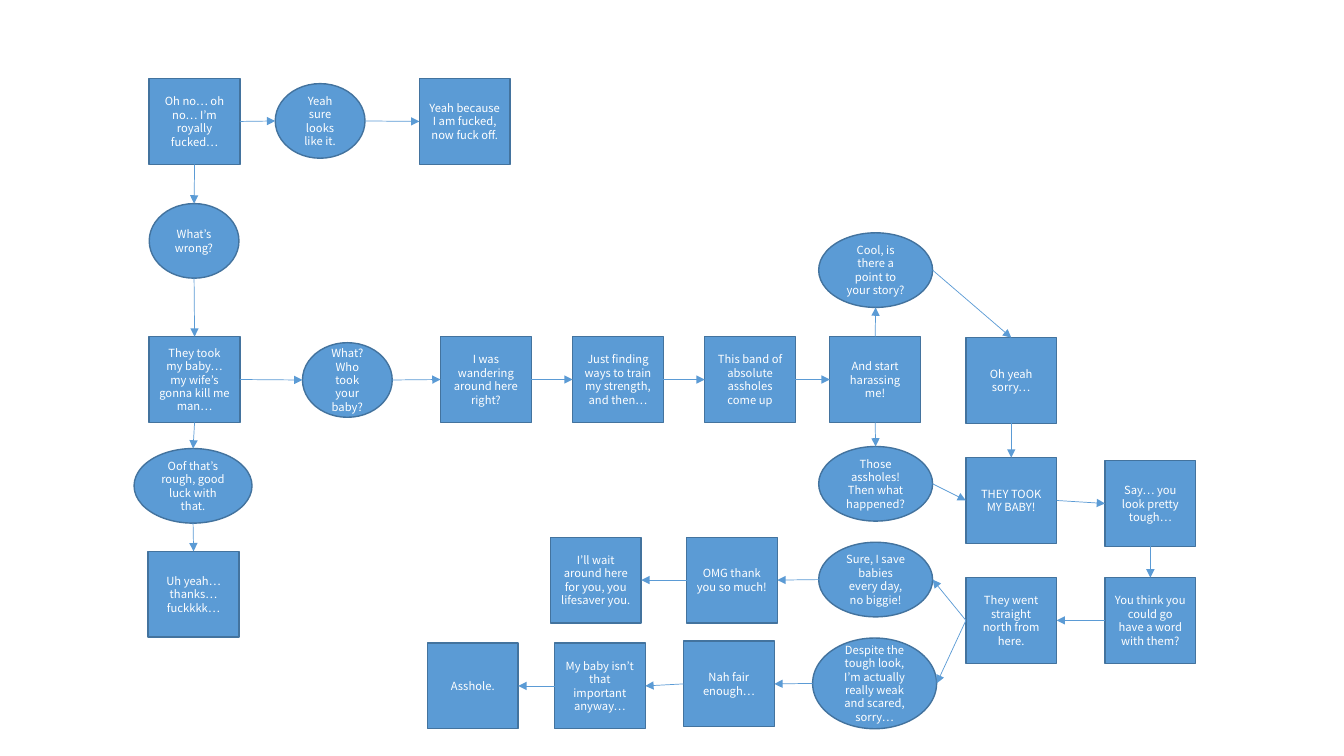
import lxml.etree
import pptx
import pptx.dml.color
import pptx.enum.shapes
import pptx.enum.text
import pptx.oxml.ns
import pptx.util
from dataclasses import dataclass
from pptx.util import Inches

RECTANGLE = pptx.enum.shapes.MSO_SHAPE.RECTANGLE
OVAL = pptx.enum.shapes.MSO_SHAPE.OVAL
SIDES = {"top": (0.5, 0), "left": (0, 0.5), "bottom": (0.5, 1), "right": (1, 0.5)}
SITES = {
    RECTANGLE: {"top": 0, "left": 1, "bottom": 2, "right": 3},
    OVAL: {"top": 0, "left": 2, "bottom": 4, "right": 6},
}


@dataclass(frozen=True)
class Theme:
    fill: str = "5B9BD5"
    outline: str = "43739E"
    text: str = "FFFFFF"
    font: str = "Noto Sans CJK JP"
    text_size: float = 8
    outline_width: float = 1
    arrow_width: float = 0.5


THEME = Theme()
SPEECH_SIZE = (0.9, 0.85)
SMALL_REPLY = (0.89, 0.74)
WIDE_REPLY = (1.13, 0.74)

SPEECHES = {
    "oh_no": (1.48, 0.78, "Oh no… oh no… I’m royally fucked…"),
    "fuck_off": (4.16, 0.78, "Yeah because I am fucked, now fuck off."),
    "took_baby": (1.48, 3.34, "They took my baby… my wife’s gonna kill me man…"),
    "thanks": (1.47, 5.47, "Uh yeah… thanks… fuckkkk…"),
    "wandering": (4.37, 3.34, "I was wandering around here right?"),
    "training": (5.68, 3.34, "Just finding ways to train my strength, and then…"),
    "band": (6.99, 3.34, "This band of absolute assholes come up"),
    "harassing": (8.23, 3.34, "And start harassing me!"),
    "sorry": (9.58, 3.35, "Oh yeah sorry…"),
    "my_baby": (9.58, 4.54, "THEY TOOK MY BABY!"),
    "tough": (10.96, 4.57, "Say… you look pretty tough…"),
    "have_word": (10.96, 5.73, "You think you could go have a word with them?"),
    "north": (9.58, 5.73, "They went straight north from here."),
    "thank_you": (6.81, 5.33, "OMG thank you so much!"),
    "wait_here": (5.46, 5.33, "I’ll wait around here for you, you lifesaver you."),
    "fair_enough": (6.78, 6.36, "Nah fair enough…"),
    "not_important": (5.5, 6.38, "My baby isn’t that important anyway…"),
    "insult": (4.24, 6.38, "Asshole."),
}

REPLIES = {
    "whats_wrong": (1.48, 2.02, SMALL_REPLY, "What’s wrong?"),
    "looks_like_it": (2.73, 0.83, SMALL_REPLY, "Yeah sure looks like it."),
    "who_took": (3, 3.4, SMALL_REPLY, "What? Who took your baby?"),
    "good_luck": (1.33, 4.45, (1.17, 0.74), "Oof that’s rough, good luck with that."),
    "point": (8.12, 2.31, WIDE_REPLY, "Cool, is there a point to your story?"),
    "then_what": (8.12, 4.43, WIDE_REPLY, "Those assholes! Then what happened?"),
    "accept": (8.12, 5.38, WIDE_REPLY, "Sure, I save babies every day, no biggie!"),
    "refuse": (8.06, 6.33, (1.23, 0.9),
               "Despite the tough look, I’m actually really weak and scared, sorry…"),
}

PATHS = [
    ("right", "left", ["oh_no", "looks_like_it", "fuck_off"]),
    ("bottom", "top", ["oh_no", "whats_wrong", "took_baby", "good_luck", "thanks"]),
    ("right", "left", ["took_baby", "who_took", "wandering", "training", "band", "harassing"]),
    ("top", "bottom", ["harassing", "point"]),
    ("bottom", "top", ["harassing", "then_what"]),
    ("right", "top", ["point", "sorry"]),
    ("bottom", "top", ["sorry", "my_baby"]),
    ("right", "left", ["then_what", "my_baby", "tough"]),
    ("bottom", "top", ["tough", "have_word"]),
    ("left", "right", ["have_word", "north", "accept", "thank_you", "wait_here"]),
    ("left", "right", ["north", "refuse", "fair_enough", "not_important", "insult"]),
]


def color(code):
    return pptx.dml.color.RGBColor.from_string(code)


def add_text(frame, text, *, size, font, ink, align=pptx.enum.text.PP_ALIGN.CENTER):
    frame.word_wrap = True
    frame.vertical_anchor = pptx.enum.text.MSO_ANCHOR.MIDDLE
    para = frame.paragraphs[0]
    para.alignment = align
    span = para.add_run()
    span.text = text
    span.font.size = pptx.util.Pt(size)
    span.font.name = font
    span.font.color.rgb = color(ink)


def add_box(page, kind, left, top, size, text):
    width, height = size
    box = page.shapes.add_shape(kind, Inches(left), Inches(top), Inches(width), Inches(height))
    box.shadow.inherit = False
    box.fill.solid()
    box.fill.fore_color.rgb = color(THEME.fill)
    box.line.color.rgb = color(THEME.outline)
    box.line.width = pptx.util.Pt(THEME.outline_width)
    add_text(box.text_frame, text, size=THEME.text_size, font=THEME.font, ink=THEME.text)
    return box


def side_point(box, side):
    across, down = SIDES[side]
    return int(box.left + across * box.width), int(box.top + down * box.height)


def add_arrow(page, source, source_side, target, target_side):
    arrow = page.shapes.add_connector(
        pptx.enum.shapes.MSO_CONNECTOR.STRAIGHT,
        *side_point(source, source_side), *side_point(target, target_side))
    arrow.line.color.rgb = color(THEME.fill)
    arrow.line.width = pptx.util.Pt(THEME.arrow_width)
    qn = pptx.oxml.ns.qn
    lxml.etree.SubElement(arrow.line._get_or_add_ln(), qn("a:tailEnd"), type="triangle")
    lxml.etree.SubElement(arrow.element.spPr, qn("a:effectLst"))
    joints = arrow.element.nvCxnSpPr.cNvCxnSpPr
    for tag, box, side in (("a:stCxn", source, source_side), ("a:endCxn", target, target_side)):
        site = SITES[box.auto_shape_type][side]
        lxml.etree.SubElement(joints, qn(tag), id=str(box.shape_id), idx=str(site))


def main():
    deck = pptx.Presentation()
    deck.slide_width, deck.slide_height = Inches(13.33), Inches(7.5)
    page = deck.slides.add_slide(deck.slide_layouts[6])
    boxes = {}
    for name, (left, top, text) in SPEECHES.items():
        boxes[name] = add_box(page, RECTANGLE, left, top, SPEECH_SIZE, text)
    for name, (left, top, size, text) in REPLIES.items():
        boxes[name] = add_box(page, OVAL, left, top, size, text)
    for leaving, entering, names in PATHS:
        for source, target in zip(names, names[1:]):
            add_arrow(page, boxes[source], leaving, boxes[target], entering)
    deck.save("out.pptx")


main()
